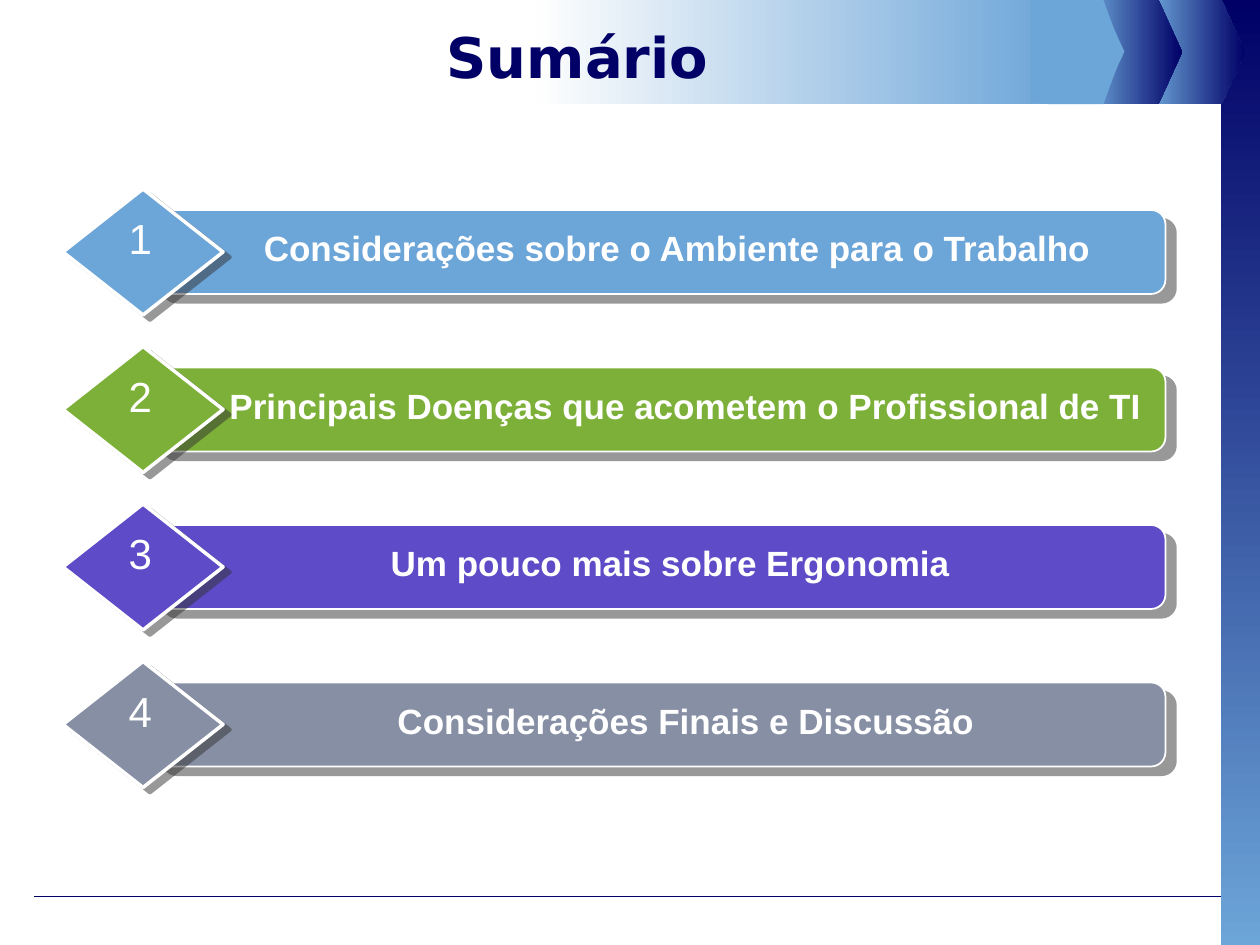
from pptx import Presentation
from pptx.dml.color import RGBColor
from pptx.enum.shapes import MSO_CONNECTOR, MSO_SHAPE
from pptx.enum.text import MSO_ANCHOR, MSO_AUTO_SIZE as AutoSize, PP_ALIGN
from pptx.oxml import parse_xml
from pptx.oxml.ns import nsdecls, qn
from pptx.util import Pt

NAVY = RGBColor(0x00, 0x00, 0x66)
SKY = RGBColor(0x6C, 0xA5, 0xD8)
GREEN = RGBColor(0x7D, 0xB0, 0x38)
VIOLET = RGBColor(0x5D, 0x4B, 0xC7)
SLATE = RGBColor(0x87, 0x8F, 0xA5)
WHITE = RGBColor(0xFF, 0xFF, 0xFF)
NEAR_WHITE = RGBColor(0xFE, 0xFE, 0xFE)
SHADOW = RGBColor(0x33, 0x33, 0x33)


class Page:
    body_font = "Arial"
    title_font = "DejaVu Sans"

    def __init__(self, slide):
        self.slide = slide
        self.shapes = slide.shapes

    def start_group(self):
        self.shapes = self.slide.shapes.add_group_shape().shapes

    def paint(self, shape, colors, angle=0):
        shape.shadow.inherit = False
        shape.line.fill.background()
        if len(colors) == 1:
            shape.fill.solid()
            shape.fill.fore_color.rgb = colors[0]
            return
        shape.fill.gradient()
        shape.fill.gradient_angle = angle
        for stop, color in zip(shape.fill.gradient_stops, colors):
            stop.color.rgb = color

    def preset(self, kind, box, colors, angle=0):
        shape = self.shapes.add_shape(kind, *map(Pt, box))
        self.paint(shape, colors, angle)
        return shape

    def raised(self, kind, box, color, outline, distance, direction):
        shape = self.preset(kind, box, [color])
        shape.line.color.rgb = WHITE
        shape.line.width = Pt(outline)
        effects = shape._element.spPr.find(qn("a:effectLst"))
        effects.append(parse_xml(
            f'<a:outerShdw {nsdecls("a")} blurRad="0" dist="{Pt(distance)}" '
            f'dir="{direction * 60000}" algn="ctr" rotWithShape="0">'
            f'<a:srgbClr val="{SHADOW}"><a:alpha val="50000"/></a:srgbClr>'
            '</a:outerShdw>'))
        return shape

    def arrow_tab(self, left, width, point, height, colors):
        shoulder = left + width - point
        outline = self.shapes.build_freeform(Pt(left), Pt(0))
        outline.add_line_segments([
            (Pt(x), Pt(y)) for x, y in (
                (shoulder, 0), (left + width, height / 2),
                (shoulder, height), (left, height))])
        self.paint(outline.convert_to_shape(), colors)

    def rule(self, left, right, y):
        line = self.shapes.add_connector(
            MSO_CONNECTOR.STRAIGHT, Pt(left), Pt(y), Pt(right), Pt(y))
        line.line.color.rgb = NAVY
        line.line.width = Pt(0.75)
        line._element.spPr.append(parse_xml(f'<a:effectLst {nsdecls("a")}/>'))

    def text(self, box, wording, size, color=WHITE, bold=False,
             font=body_font, wrap=True, anchor=MSO_ANCHOR.TOP):
        frame = self.shapes.add_textbox(*map(Pt, box)).text_frame
        frame.word_wrap = wrap
        frame.auto_size = AutoSize.SHAPE_TO_FIT_TEXT
        frame.vertical_anchor = anchor
        paragraph = frame.paragraphs[0]
        paragraph.alignment = PP_ALIGN.CENTER
        run = paragraph.add_run()
        run.text = wording
        run.font.name = font
        run.font.size = Pt(size)
        run.font.bold = bold
        run.font.color.rgb = color

    def topic(self, top, number, wording, color, left, width):
        self.start_group()
        bar = self.raised(MSO_SHAPE.ROUNDED_RECTANGLE,
                          (87, top + 12, 579, 48), color, 1, 7.8, 40)
        bar.adjustments[0] = 0.17
        self.raised(MSO_SHAPE.DIAMOND, (36, top, 91.5, 72), color, 2, 5, 37)
        self.text((left, top + 18, width, 31.5), wording, 20,
                  bold=True, wrap=False)
        self.text((57, top + 10, 46.5, 36), str(number), 24)


def main():
    deck = Presentation()
    deck.slide_width, deck.slide_height = Pt(720), Pt(540)
    page = Page(deck.slides.add_slide(deck.slide_layouts[6]))

    page.rule(19.5, 697.5, 512.5)
    page.preset(MSO_SHAPE.RECTANGLE, (697.5, 0, 22.5, 540), [NAVY, SKY], 270)
    for left in (657.5, 621.5):
        page.arrow_tab(left, 54, 13.5, 59.5, [SKY, NAVY])
    page.arrow_tab(598.5, 43, 11, 59.5, [SKY])
    page.preset(MSO_SHAPE.RECTANGLE, (306, 0, 301, 59.5), [NEAR_WHITE, SKY])
    page.arrow_tab(589, 53.5, 13.5, 59, [SKY])
    page.text((36, 6.5, 588, 51), "Sumário", 32, NAVY, True,
              Page.title_font, anchor=MSO_ANCHOR.MIDDLE)

    topics = (
        ("Considerações sobre o Ambiente para o Trabalho", SKY, 142.5, 489),
        ("Principais Doenças que acometem o Profissional de TI",
         GREEN, 124, 535.5),
        ("Um pouco mais sobre Ergonomia", VIOLET, 216, 334),
        ("Considerações Finais e Discussão", SLATE, 220, 344),
    )
    for index, topic in enumerate(topics):
        page.topic(108 + 90 * index, index + 1, *topic)

    deck.save("out.pptx")


if __name__ == "__main__":
    main()
